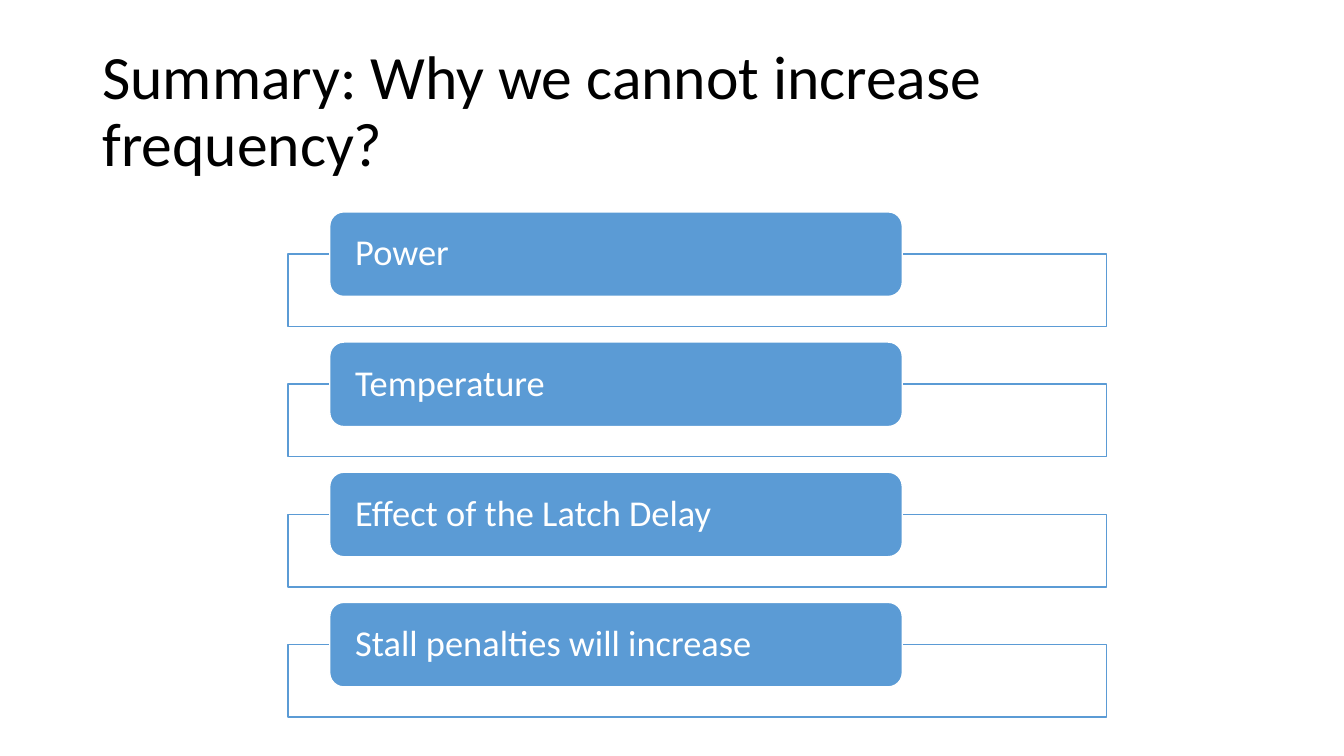
from dataclasses import dataclass

from pptx import Presentation
from pptx.dml.color import RGBColor
from pptx.enum.shapes import MSO_SHAPE
from pptx.enum.text import MSO_ANCHOR, PP_ALIGN
from pptx.util import Cm, Pt


@dataclass(frozen=True)
class Theme:
    font: str = "Calibri"
    black: RGBColor = RGBColor(0x00, 0x00, 0x00)
    white: RGBColor = RGBColor(0xFF, 0xFF, 0xFF)
    blue: RGBColor = RGBColor(0x5B, 0x9B, 0xD5)
    title_size: Pt = Pt(44)
    label_size: Pt = Pt(26)
    line_width: Pt = Pt(1)


theme = Theme()


def write(sp, text, size, color):
    tf = sp.text_frame
    tf.word_wrap = True
    tf.vertical_anchor = MSO_ANCHOR.MIDDLE
    p = tf.paragraphs[0]
    p.alignment = PP_ALIGN.LEFT
    p.line_spacing = 0.9
    r = p.add_run()
    r.text = text
    r.font.name = theme.font
    r.font.size = size
    r.font.color.rgb = color
    return tf


def add_box(s, kind, left, top, width, height, fill, line):
    sp = s.shapes.add_shape(kind, Cm(left), Cm(top), Cm(width), Cm(height))
    sp.shadow.inherit = False
    sp.fill.solid()
    sp.fill.fore_color.rgb = fill
    sp.line.color.rgb = line
    sp.line.width = theme.line_width
    return sp


prs = Presentation()
prs.slide_width = Cm(33.87)
prs.slide_height = Cm(19.05)
s = prs.slides.add_slide(prs.slide_layouts[6])

title = s.shapes.add_textbox(Cm(2.33), Cm(1.01), Cm(29.21), Cm(3.68))
write(title, "Summary: Why we cannot increase frequency?", theme.title_size, theme.black)

reasons = [
    "Power",
    "Temperature",
    "Effect of the Latch Delay",
    "Stall penalties will increase",
]
first_top = 5.34
row_pitch = 3.28
frame_drop = 1.06

for i, reason in enumerate(reasons):
    top = first_top + i * row_pitch
    add_box(s, MSO_SHAPE.RECTANGLE, 7.26, top + frame_drop, 20.62, 1.83,
            theme.white, theme.blue)
    label = add_box(s, MSO_SHAPE.ROUNDED_RECTANGLE, 8.31, top, 14.43, 2.13,
                    theme.blue, theme.white)
    tf = write(label, reason, theme.label_size, theme.white)
    tf.margin_left = tf.margin_right = Cm(0.54)
    tf.margin_top = tf.margin_bottom = 0

prs.save("out.pptx")
